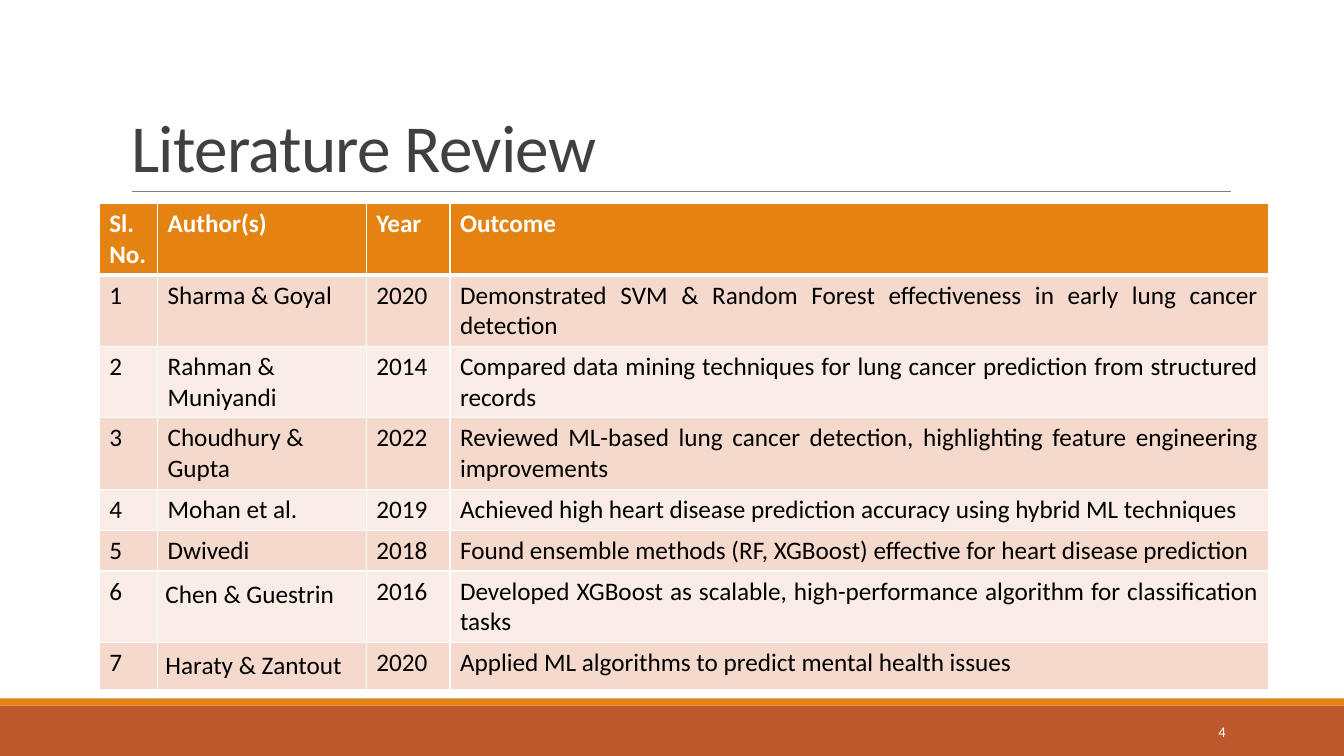
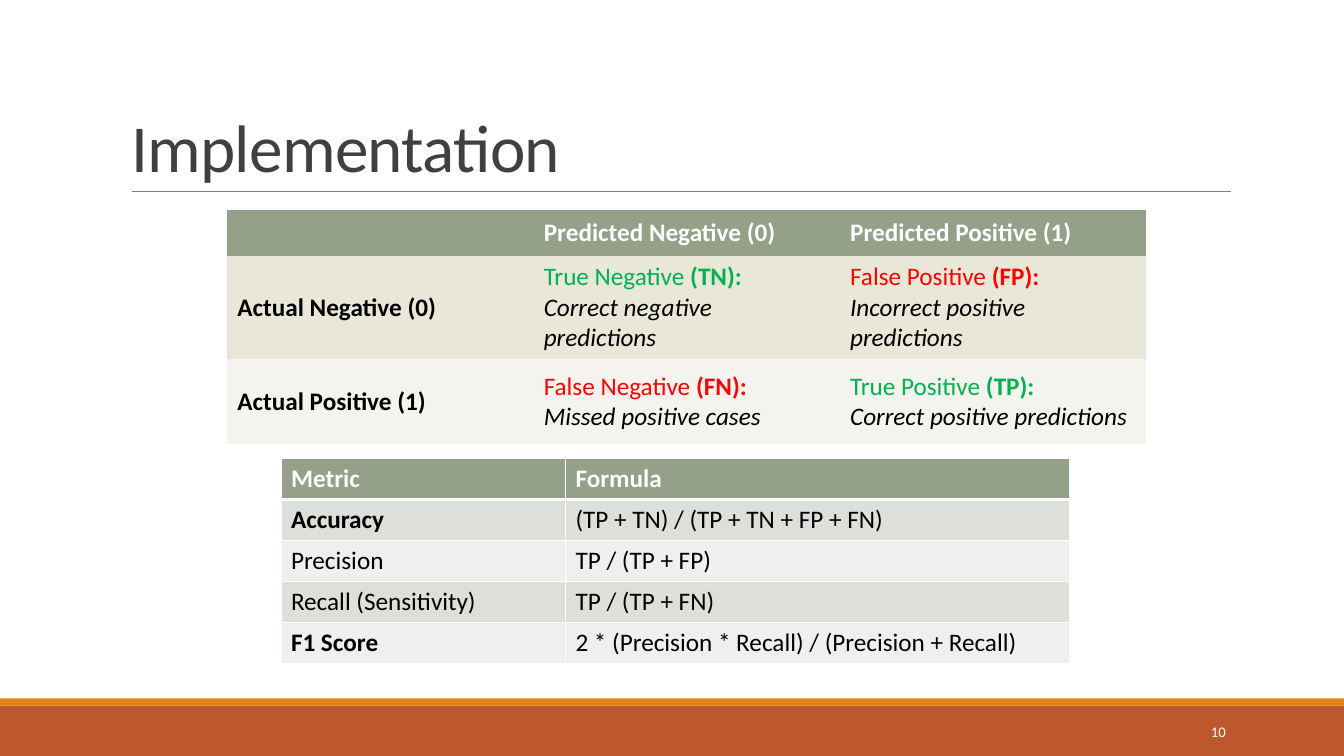
import dataclasses

import lxml.etree
import pptx
import pptx.dml.color
import pptx.enum.shapes
import pptx.enum.text
import pptx.oxml.ns
import pptx.util

Cm = pptx.util.Cm
Pt = pptx.util.Pt
ALIGN = pptx.enum.text.PP_ALIGN
ANCHOR = pptx.enum.text.MSO_ANCHOR
qn = pptx.oxml.ns.qn


@dataclasses.dataclass(frozen=True)
class Theme:
    font: str = "Calibri"
    title_size: float = 48
    table_size: float = 18
    number_size: float = 10.5
    title: str = "404040"
    rule: str = "808080"
    band: str = "BD582C"
    stripe: str = "E48312"
    white: str = "FFFFFF"
    black: str = "000000"
    right: str = "00B050"
    wrong: str = "FF0000"
    # Each table palette: header, odd rows, even rows
    review: tuple = ("E48312", "F5D9CC", "FAEDE7")
    metrics: tuple = ("94A088", "DCDFDA", "EEF0ED")
    confusion: tuple = ("94A088", "E9E7D8", "F4F3ED")


THEME = Theme()
SLIDE_WIDTH, SLIDE_HEIGHT = 33.87, 19.05


def rgb(color):
    return pptx.dml.color.RGBColor.from_string(color)


def set_values(target, values):
    for name, value in values.items():
        setattr(target, name, value)


def add_run(paragraph, text, size, color, **values):
    run = paragraph.add_run()
    run.text = text
    set_values(run.font, {"name": THEME.font, "size": Pt(size), **values})
    run.font.color.rgb = rgb(color)
    return run


def add_bar(slide, top, height, color):
    bar = slide.shapes.add_shape(
        pptx.enum.shapes.MSO_SHAPE.RECTANGLE, 0, Cm(top), Cm(SLIDE_WIDTH), Cm(height))
    bar.shadow.inherit = False
    bar.fill.solid()
    bar.fill.fore_color.rgb = rgb(color)
    bar.line.fill.background()


def add_rule(slide, left, right, top):
    rule = slide.shapes.add_connector(
        pptx.enum.shapes.MSO_CONNECTOR.STRAIGHT, Cm(left), Cm(top), Cm(right), Cm(top))
    rule.line.width = Pt(0.5)
    rule.line.color.rgb = rgb(THEME.rule)
    lxml.etree.SubElement(rule._element.spPr, qn("a:effectLst"))


def add_title(slide, text):
    title = slide.shapes.title
    set_values(title, {"left": Cm(3.05), "top": Cm(0.79),
                       "width": Cm(27.94), "height": Cm(4.03)})
    set_values(title.text_frame, {"vertical_anchor": ANCHOR.BOTTOM, "word_wrap": True})
    paragraph = title.text_frame.paragraphs[0]
    set_values(paragraph, {"alignment": ALIGN.LEFT, "line_spacing": 0.85})
    run = add_run(paragraph, text, THEME.title_size, THEME.title)
    run.font._element.set("spc", "-50")


def add_page_number(slide, number):
    box = slide.shapes.add_textbox(Cm(27.51), Cm(17.93), Cm(3.63), Cm(1.02))
    set_values(box.text_frame, {"vertical_anchor": ANCHOR.MIDDLE, "word_wrap": True})
    paragraph = box.text_frame.paragraphs[0]
    paragraph.alignment = ALIGN.RIGHT
    add_run(paragraph, str(number), THEME.number_size, THEME.white)


def add_slide(presentation, title, number):
    """Add a title-only slide with the bands, rule and number all slides share."""
    slide = presentation.slides.add_slide(presentation.slide_layouts[5])
    add_bar(slide, 17.78, SLIDE_HEIGHT - 17.78, THEME.band)
    add_bar(slide, 17.6, 0.18, THEME.stripe)
    add_rule(slide, 3.33, 31.01, 4.83)
    add_title(slide, title)
    add_page_number(slide, number)
    return slide


def set_borders(cell, row, bordered):
    """Draw white cell edges, thick below the header, or none at all."""
    properties = cell._tc.get_or_add_tcPr()
    widths = {"L": 1, "R": 1, "T": 3 if row == 1 else 1, "B": 3 if row == 0 else 1}
    for position, (side, width) in enumerate(widths.items()):
        line = lxml.etree.Element(qn(f"a:ln{side}"), w=str(Pt(width)))
        if bordered:
            fill = lxml.etree.SubElement(line, qn("a:solidFill"))
            lxml.etree.SubElement(fill, qn("a:srgbClr"), val=THEME.white)
        else:
            lxml.etree.SubElement(line, qn("a:noFill"))
        properties.insert(position, line)


def fill_cell(cell, content, **values):
    """Write a string, or a list of paragraphs that are lists of (text, values)."""
    if not content:
        return
    paragraphs = [[(content, {})]] if isinstance(content, str) else content
    for index, runs in enumerate(paragraphs):
        frame = cell.text_frame
        paragraph = frame.add_paragraph() if index else frame.paragraphs[0]
        for text, run_values in runs:
            add_run(paragraph, text, THEME.table_size, **{**values, **run_values})


def add_table(slide, left, top, widths, heights, records, palette,
              anchor=ANCHOR.TOP, bordered=True):
    """Add a table with a bold header row over two alternating row colours."""
    table = slide.shapes.add_table(
        len(records), len(widths), Cm(left), Cm(top),
        Cm(sum(widths)), Cm(sum(heights))).table
    set_values(table, {"first_row": False, "horz_banding": False})
    for column, width in zip(table.columns, widths):
        column.width = Cm(width)
    header, odd, even = palette
    for row, (record, height) in enumerate(zip(records, heights)):
        table.rows[row].height = Cm(height)
        for column, content in enumerate(record):
            cell = table.cell(row, column)
            cell.vertical_anchor = anchor
            cell.fill.solid()
            cell.fill.fore_color.rgb = rgb(
                header if row == 0 else odd if row % 2 else even)
            set_borders(cell, row, bordered)
            fill_cell(cell, content, bold=row == 0,
                      color=THEME.black if row else THEME.white)
    return table


def bold(text):
    return [[(text, {"bold": True})]]


def outcome(name, code, color, meaning):
    return [[(f"{name} ", {"color": color}), (f"({code}):", {"color": color, "bold": True})],
            [(meaning, {"italic": True})]]


def add_review_table(slide, left, top):
    records = [
        ("Sl. No.", "Author(s)", "Year", "Outcome"),
        ("1", "Sharma & Goyal", "2020",
         "Demonstrated SVM & Random Forest effectiveness in early lung cancer detection"),
        ("2", "Rahman & Muniyandi", "2014",
         "Compared data mining techniques for lung cancer prediction from structured records"),
        ("3", "Choudhury & Gupta", "2022",
         "Reviewed ML-based lung cancer detection, highlighting feature engineering improvements"),
        ("4", "Mohan et al.", "2019",
         "Achieved high heart disease prediction accuracy using hybrid ML techniques"),
        ("5", "Dwivedi", "2018",
         "Found ensemble methods (RF, XGBoost) effective for heart disease prediction"),
        ("6", "Chen & Guestrin", "2016",
         "Developed XGBoost as scalable, high-performance algorithm for classification tasks"),
        ("7", "Haraty & Zantout", "2020",
         "Applied ML algorithms to predict mental health issues"),
    ]
    one_line, two_lines = 1.03, 1.8
    heights = [two_lines] * 4 + [one_line] * 2 + [two_lines, 1.18]
    table = add_table(slide, left, top, [1.47, 5.26, 2.11, 20.62], heights,
                      records, THEME.review)
    for row in range(1, len(records)):
        table.cell(row, 3).text_frame.paragraphs[0].alignment = ALIGN.JUSTIFY
    for row in (6, 7):
        set_values(table.cell(row, 1), dict.fromkeys(
            ("margin_left", "margin_top", "margin_right", "margin_bottom"), Cm(0.2)))


def add_confusion_table(slide, left, top):
    records = [
        ("", "Predicted Negative (0)", "Predicted Positive (1)"),
        (bold("Actual Negative (0)"),
         outcome("True Negative", "TN", THEME.right, "Correct negative predictions"),
         outcome("False Positive", "FP", THEME.wrong, "Incorrect positive predictions")),
        (bold("Actual Positive (1)"),
         outcome("False Negative", "FN", THEME.wrong, "Missed positive cases"),
         outcome("True Positive", "TP", THEME.right, "Correct positive predictions")),
    ]
    add_table(slide, left, top, [7.72] * 3, [1.17, 2.6, 2.15], records,
              THEME.confusion, ANCHOR.MIDDLE, bordered=False)


def add_metrics_table(slide, left, top):
    records = [
        ("Metric", "Formula"),
        (bold("Accuracy"), "(TP + TN) / (TP + TN + FP + FN)"),
        ("Precision", "TP / (TP + FP)"),
        ("Recall (Sensitivity)", "TP / (TP + FN)"),
        (bold("F1 Score"), "2 * (Precision * Recall) / (Precision + Recall)"),
    ]
    add_table(slide, left, top, [7.17, 12.71], [1.03] * len(records), records,
              THEME.metrics, ANCHOR.MIDDLE)


def main():
    presentation = pptx.Presentation()
    set_values(presentation, {"slide_width": Cm(SLIDE_WIDTH),
                              "slide_height": Cm(SLIDE_HEIGHT)})
    review = add_slide(presentation, "Literature Review", 4)
    add_review_table(review, 2.5, 5.13)
    implementation = add_slide(presentation, "Implementation", 10)
    add_confusion_table(implementation, 5.73, 5.28)
    add_metrics_table(implementation, 7.08, 11.56)
    presentation.save("out.pptx")


if __name__ == "__main__":
    main()
